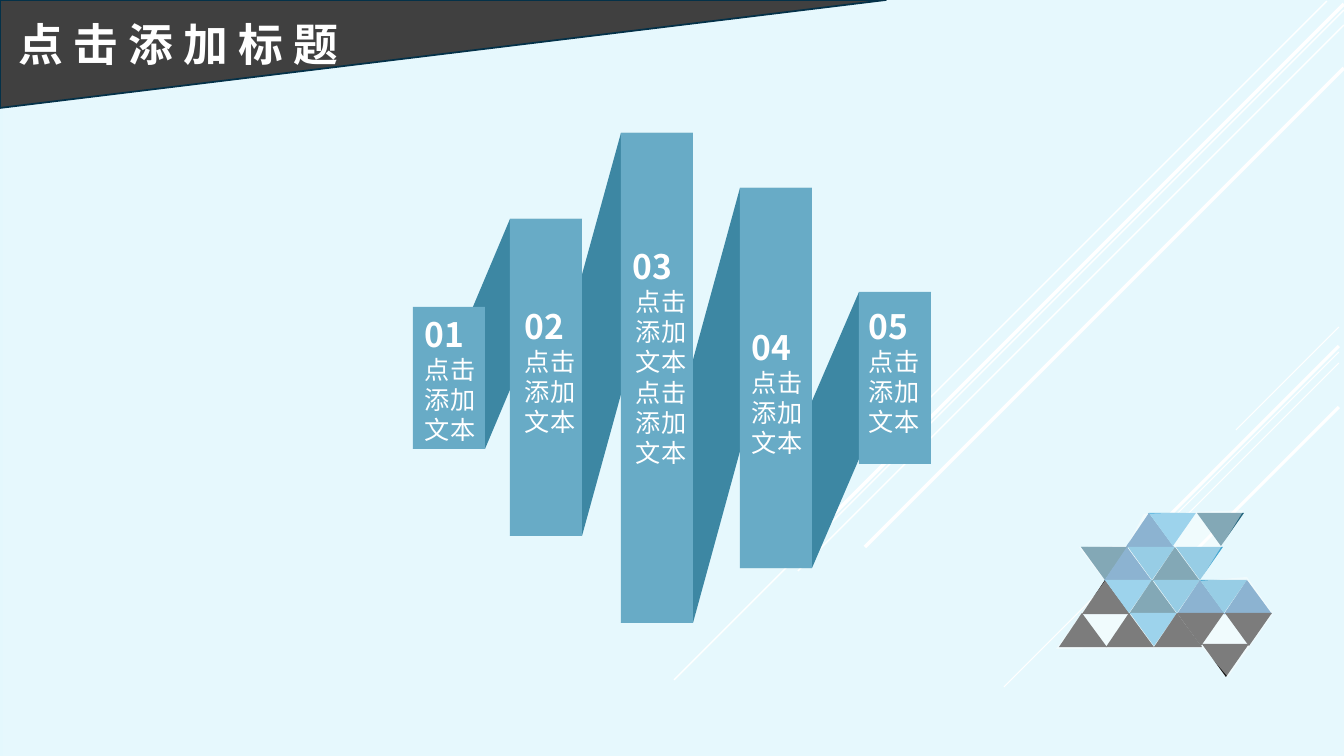
from dataclasses import dataclass
from lxml import etree
from pptx import Presentation
from pptx import util as u
from pptx.dml.color import RGBColor
from pptx.enum import shapes, text
from pptx.oxml import ns

PX = u.Inches(1) / 100.8
WIDE, HIGH = 1344, 756


@dataclass(frozen=True)
class Theme:
    back: str = "E4F8FD"
    white: str = "FFFFFF"
    black: str = "000000"
    dark: str = "404040"
    edge: str = "043148"
    bar: str = "68ABC6"
    fold: str = "3D87A3"
    blue: str = "1F6BA5"
    teal: str = "0E5671"
    sky: str = "40ABDB"
    deep: str = "349FCD"
    font: str = "Noto Sans CJK SC"
    title: int = 32
    number: int = 24
    body: int = 18


T = Theme()
TILES = {"b": T.blue, "t": T.teal, "s": T.sky, "d": T.deep, "k": T.black}


def px(*sizes):
    return [u.Emu(round(size * PX)) for size in sizes]


def paint(shape, color, alpha=None):
    shape.shadow.inherit = False
    shape.fill.solid()
    shape.fill.fore_color.rgb = RGBColor.from_string(color)
    shape.line.fill.background()
    if alpha is not None:
        tint = shape.element.spPr.find(".//" + ns.qn("a:srgbClr"))
        etree.SubElement(tint, ns.qn("a:alpha")).set("val", str(alpha * 1000))
    return shape


def block(slide, kind, box, color, alpha=None):
    return paint(slide.shapes.add_shape(kind, *px(*box)), color, alpha)


def outline(slide, left, top, points, color, alpha=None):
    spots = [(left + x, top + y) for x, y in points]
    pen = slide.shapes.build_freeform(*spots[0], scale=PX)
    pen.add_line_segments(spots[1:], close=True)
    return paint(pen.convert_to_shape(), color, alpha)


def words(slide, box, lines, align=text.PP_ALIGN.LEFT):
    """Each line is its wording, size and weight; align sets the last one."""
    frame = slide.shapes.add_textbox(*px(*box)).text_frame
    frame.word_wrap = True
    frame.auto_size = text.MSO_AUTO_SIZE.SHAPE_TO_FIT_TEXT
    frame.text = "\n".join(line[0] for line in lines)
    for para, (_, size, bold) in zip(frame.paragraphs, lines):
        font = para.runs[0].font
        font.size, font.bold, font.name = u.Pt(size), bold, T.font
        font.color.rgb = RGBColor.from_string(T.white)
        props = para.runs[0]._r.get_or_add_rPr()
        etree.SubElement(props, ns.qn("a:ea")).set("typeface", T.font)
    frame.paragraphs[-1].alignment = align


def rays(slide, left, top, beams):
    """Each beam falls to the left at 45 degrees: start, reach, weight."""
    for x, y, reach, weight in beams:
        x, y = left + x, top + y
        ray = slide.shapes.add_connector(
            shapes.MSO_CONNECTOR.STRAIGHT, *px(x, y, x - reach, y + reach))
        ray.line.color.rgb = RGBColor.from_string(T.white)
        ray.line.width = u.Pt(weight)
        etree.SubElement(ray._element.spPr, ns.qn("a:effectLst"))


def mosaic(slide, left, top):
    """Rows of tiles that point up and down by turns; a dot is a gap."""
    rows = [(70, 3, True, "bs.t"), (25, 37, False, "tbdtd"),
            (26, 70, True, "kstdbdb"), (3, 103, True, "k.kskk.k"),
            (146, 134, False, "k")]
    for x, y, rise, tiles in rows:
        for i, tile in enumerate(tiles):
            if tile == ".":
                continue
            up = rise == (i % 2 == 0)
            points = ([(23, 0), (48, 34), (0, 34)] if up
                      else [(0, 0), (47, 0), (24, 33)])
            outline(slide, left + x + i * 95 // 4, top + y, points, TILES[tile])


def glaze(slide, left, top):
    points = [(71, 36), (88, 4), (188, 0), (144, 71), (191, 67), (217, 104),
              (172, 167), (147, 138), (0, 139), (49, 71), (23, 37)]
    outline(slide, left, top, points, T.white, 44)


def header(slide, left, top, wide, high):
    flag = block(slide, shapes.MSO_SHAPE.RIGHT_TRIANGLE,
                 (left, top, wide, high), T.dark)
    flag.element.spPr.find(ns.qn("a:xfrm")).set("flipV", "1")
    flag.line.color.rgb = RGBColor.from_string(T.edge)
    flag.line.width = u.Pt(1.25)
    words(slide, (left + 9, top + 12, 478, 65),
          [("点 击 添 加 标 题", T.title, True)])


def ribbon(slide, left, top):
    wide = 72
    bars = [(0, 174, 142), (97, 86, 317), (208, 0, 490),
            (327, 55, 380), (446, 159, 172)]
    # Folds run from the foot of one bar to the head of the next
    for (x, y, high), (far, head, _) in zip(bars, bars[1:]):
        foot = y + high
        outline(slide, left, top, [(far + wide, head), (x + wide, foot),
                                   (x, foot), (far, head)], T.fold)
    for x, y, high in bars:
        block(slide, shapes.MSO_SHAPE.RECTANGLE,
              (left + x, top + y, wide, high), T.bar)
    # Labels: place, width, height and how often the phrase repeats
    labels = [(2, 176, 73, 142, 1), (102, 168, 72, 142, 1),
              (210, 108, 76, 234, 2), (329, 189, 83, 142, 1),
              (446, 168, 72, 142, 1)]
    for n, (x, y, span, high, times) in enumerate(labels, 1):
        align = text.PP_ALIGN.CENTER if times > 1 else text.PP_ALIGN.LEFT
        words(slide, (left + x, top + y, span, high),
              [(f"{n:02}", T.number, True),
               ("点击添加文本" * times, T.body, False)], align)


def main():
    deck = Presentation()
    deck.slide_width, deck.slide_height = px(WIDE, HIGH)
    slide = deck.slides.add_slide(deck.slide_layouts[6])
    fill = slide.background.fill
    fill.solid()
    fill.fore_color.rgb = RGBColor.from_string(T.back)

    # Backdrop
    rays(slide, 1339, 327, [(0, 0, 103, 0.75), (0, 25, 335, 0.75),
                            (0, 36, 213, 0.75), (0, 19, 196, 2.25),
                            (0, 80, 143, 2.25)])
    mosaic(slide, 1056, 510)
    rays(slide, WIDE, 0, [(-17, 1, 420, 1), (0, 10, 670, 1), (0, 25, 546, 1),
                          (0, 4, 535, 2.5), (0, 68, 479, 2.5)])
    block(slide, shapes.MSO_SHAPE.RECTANGLE, (3, 0, WIDE - 3, HIGH), T.white, 9)
    glaze(slide, 1056, 510)

    # Content
    header(slide, 0, 0, 886, 108)
    ribbon(slide, 413, 133)
    deck.save("out.pptx")


if __name__ == "__main__":
    main()
